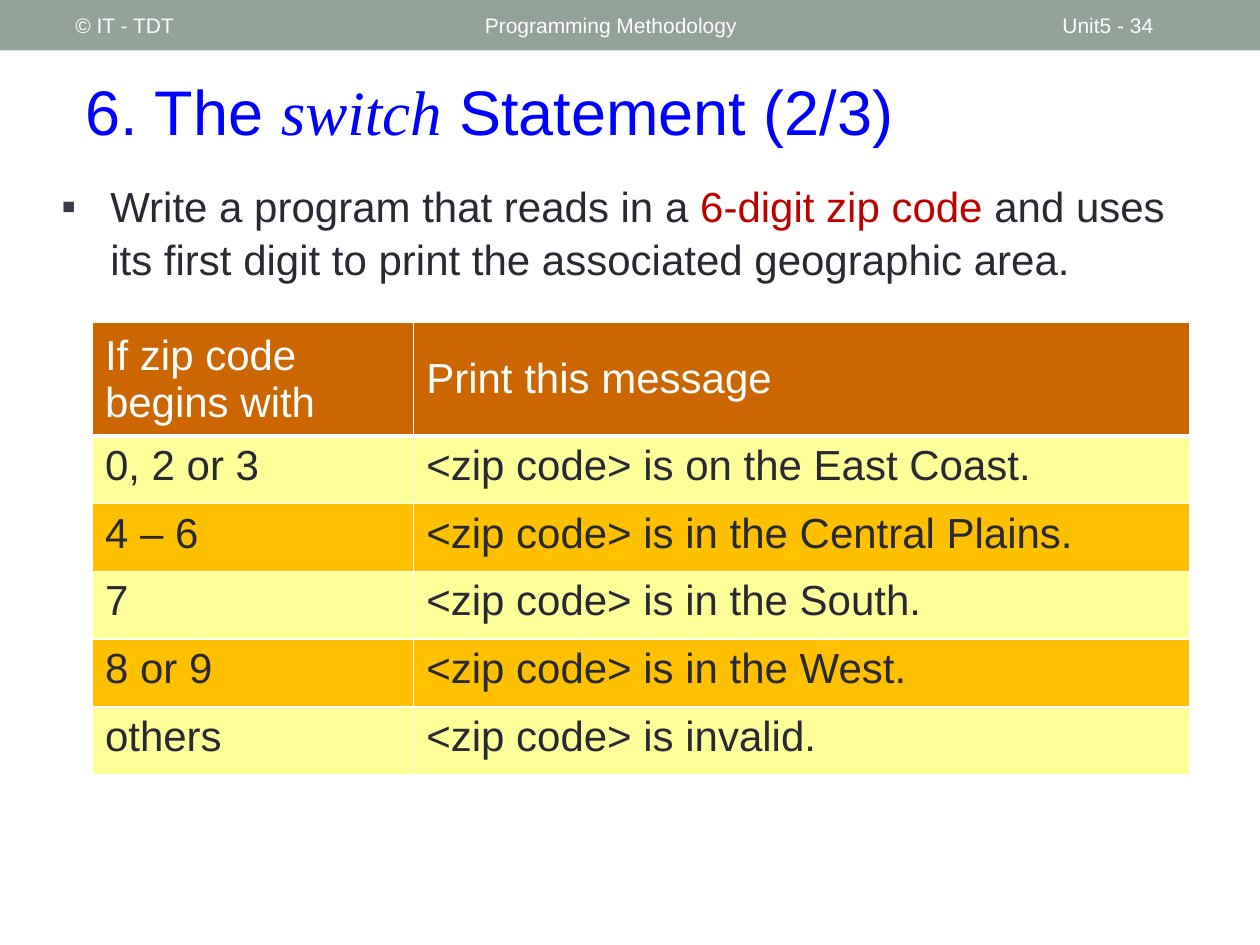
from dataclasses import dataclass

import pptx
import pptx.dml.color
import pptx.enum.shapes
import pptx.enum.text
import pptx.oxml
import pptx.oxml.ns
import pptx.util
from pptx.util import Pt

ANCHOR = pptx.enum.text.MSO_ANCHOR


@dataclass(frozen=True)
class Theme:
    font: str = "Arial"
    accent_font: str = "Times New Roman"
    bar: str = "93A299"
    title: str = "0000FF"
    ink: str = "292934"
    bullet: str = "3A3A4A"
    highlight: str = "C00000"
    light: str = "FFFFFF"
    header: str = "CC6600"
    bands: tuple = ("FFFF99", "FFC000")
    title_size: int = 36
    body_size: int = 24
    bar_size: int = 12


THEME = Theme()

ROWS = [
    ("If zip code begins with", "Print this message"),
    ("0, 2 or 3", "<zip code> is on the East Coast."),
    ("4 – 6", "<zip code> is in the Central Plains."),
    ("7", "<zip code> is in the South."),
    ("8 or 9", "<zip code> is in the West."),
    ("others", "<zip code> is invalid."),
]


def rgb(color):
    return pptx.dml.color.RGBColor.from_string(color)


def apply(target, values):
    for name, value in values.items():
        setattr(target, name, value)


def add_span(para, text, size, color, **values):
    span = para.add_run()
    span.text = text
    apply(span.font, {"name": THEME.font, "size": Pt(size), **values})
    span.font.color.rgb = rgb(color)


def add_text(slide, bounds, spans, size, anchor=ANCHOR.MIDDLE):
    box = slide.shapes.add_textbox(*map(Pt, bounds))
    apply(box.text_frame, {"word_wrap": True, "vertical_anchor": anchor})
    para = box.text_frame.paragraphs[0]
    for text, color, values in spans:
        add_span(para, text, size, color, **values)
    return para


def add_bar(slide):
    bar = slide.shapes.add_shape(
        pptx.enum.shapes.MSO_SHAPE.RECTANGLE, 0, 0, Pt(720), Pt(28.8))
    bar.shadow.inherit = False
    bar.fill.solid()
    bar.fill.fore_color.rgb = rgb(THEME.bar)
    bar.line.fill.background()
    for left, width, text in [
        (270, 324, "Programming Methodology"),
        (600, 84, "Unit5 - 34"),
        (36, 228, "© IT - TDT"),
    ]:
        add_text(slide, (left, 1.5, width, 26),
                 [(text, THEME.light, {})], THEME.bar_size)


def add_bullet(para, symbol, color, indent):
    properties = para._p.get_or_add_pPr()
    properties.set("marL", str(Pt(indent)))
    properties.set("indent", str(-Pt(indent)))
    namespace = pptx.oxml.ns.nsdecls("a")
    for markup in (
        f'<a:buClr {namespace}><a:srgbClr val="{color}"/></a:buClr>',
        f'<a:buFont {namespace} typeface="{THEME.font}"/>',
        f'<a:buChar {namespace} char="{symbol}"/>',
    ):
        properties.append(pptx.oxml.parse_xml(markup))


def add_borders(cell, widths):
    properties = cell._tc.get_or_add_tcPr()
    for position, (side, width) in enumerate(widths.items()):
        properties.insert(position, pptx.oxml.parse_xml(
            f'<a:ln{side} {pptx.oxml.ns.nsdecls("a")} w="{Pt(width)}">'
            f'<a:solidFill><a:srgbClr val="{THEME.light}"/></a:solidFill>'
            f'</a:ln{side}>'))


def add_zip_table(slide):
    widths = (183.6, 443.5)
    heights = [60] + [38.7] * (len(ROWS) - 1)
    frame = slide.shapes.add_table(
        len(ROWS), len(widths), Pt(52.8), Pt(184.3),
        Pt(sum(widths)), Pt(sum(heights)))
    table = frame.table
    for column, width in zip(table.columns, widths):
        column.width = Pt(width)
    for index, (row, height, texts) in enumerate(zip(table.rows, heights, ROWS)):
        row.height = Pt(height)
        header = index == 0
        fill = THEME.header if header else THEME.bands[(index - 1) % 2]
        for cell, text in zip(row.cells, texts):
            apply(cell, {
                "vertical_anchor": ANCHOR.MIDDLE if header else ANCHOR.TOP,
                "margin_top": Pt(3.6), "margin_bottom": Pt(3.6),
            })
            cell.fill.solid()
            cell.fill.fore_color.rgb = rgb(fill)
            add_span(cell.text_frame.paragraphs[0], text, THEME.body_size,
                     THEME.light if header else THEME.ink, bold=False)
            add_borders(cell, {"L": 1, "R": 1, "T": 3 if index == 1 else 1,
                               "B": 3 if header else 1})


def main():
    deck = pptx.Presentation()
    apply(deck, {"slide_width": Pt(720), "slide_height": Pt(540)})
    slide = deck.slides.add_slide(deck.slide_layouts[6])
    add_bar(slide)
    add_text(slide, (42, 30, 660, 66), [
        ("6. The ", THEME.title, {}),
        ("switch", THEME.title, {"name": THEME.accent_font, "italic": True}),
        (" Statement (2/3)", THEME.title, {}),
    ], THEME.title_size)
    task = add_text(slide, (28, 98.6, 662.4, 68.4), [
        ("Write a program that reads in a ", THEME.ink, {}),
        ("6-digit zip code ", THEME.highlight, {}),
        ("and uses its first digit to print the associated geographic area.",
         THEME.ink, {}),
    ], THEME.body_size, ANCHOR.TOP)
    apply(task, {"line_spacing": 1.04, "space_before": Pt(2)})
    add_bullet(task, "▪", THEME.bullet, 28)
    add_zip_table(slide)
    deck.save("out.pptx")


if __name__ == "__main__":
    main()
